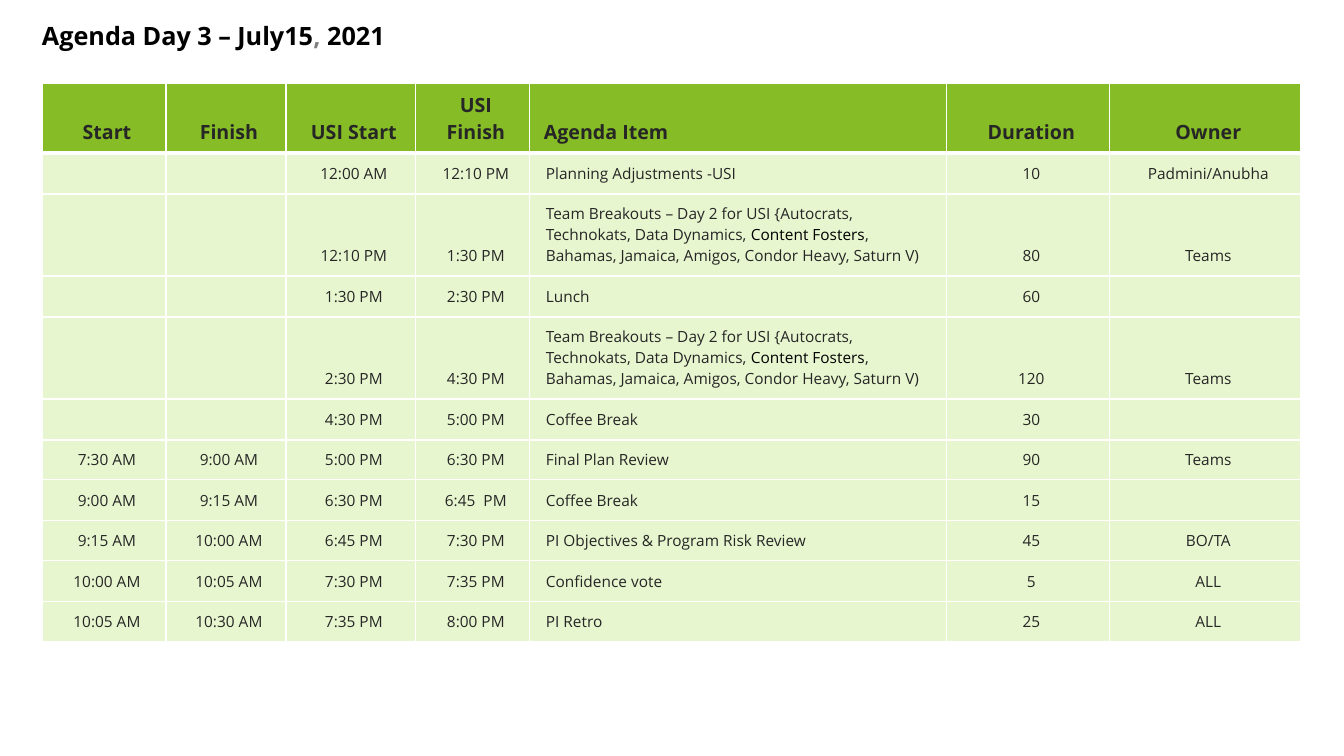
import pptx
import pptx.dml.color
import pptx.enum.text
import pptx.oxml
import pptx.oxml.ns
import pptx.util

RGBColor = pptx.dml.color.RGBColor
PP_ALIGN = pptx.enum.text.PP_ALIGN
MSO_ANCHOR = pptx.enum.text.MSO_ANCHOR

WHITE = RGBColor(0xFF, 0xFF, 0xFF)
BLACK = RGBColor(0x00, 0x00, 0x00)
GRAY = RGBColor(0x80, 0x80, 0x80)
INK = RGBColor(0x26, 0x26, 0x26)
GREEN = RGBColor(0x86, 0xBC, 0x25)
PALE_GREEN = RGBColor(0xE8, 0xF6, 0xCF)
FONT = "Open Sans"

# Content: a text is a list of (wording, colour) runs or a plain string
HEADING = [("Agenda Day 3 – July15", BLACK), (", ", GRAY), ("2021", BLACK)]
BREAKOUTS = [
    ("Team Breakouts – Day 2 for USI {Autocrats, Technokats, Data Dynamics, ", INK),
    ("Content Fosters", BLACK),
    (", Bahamas, Jamaica, Amigos, Condor Heavy, Saturn V)", INK),
]
AGENDA = [
    ("Start", "Finish", "USI Start", "USI Finish", "Agenda Item", "Duration", "Owner"),
    ("", "", "12:00 AM", "12:10 PM", "Planning Adjustments -USI", "10", "Padmini/Anubha"),
    ("", "", "12:10 PM", "1:30 PM", BREAKOUTS, "80", "Teams"),
    ("", "", "1:30 PM", "2:30 PM", "Lunch", "60", ""),
    ("", "", "2:30 PM", "4:30 PM", BREAKOUTS, "120", "Teams"),
    ("", "", "4:30 PM", "5:00 PM", "Coffee Break", "30", ""),
    ("7:30 AM", "9:00 AM", "5:00 PM", "6:30 PM", "Final Plan Review", "90", "Teams"),
    ("9:00 AM", "9:15 AM", "6:30 PM", "6:45  PM", "Coffee Break", "15", ""),
    ("9:15 AM", "10:00 AM", "6:45 PM", "7:30 PM", "PI Objectives & Program Risk Review", "45", "BO/TA"),
    ("10:00 AM", "10:05 AM", "7:30 PM", "7:35 PM", "Confidence vote", "5", "ALL"),
    ("10:05 AM", "10:30 AM", "7:35 PM", "8:00 PM", "PI Retro", "25", "ALL"),
]
ITEM_COLUMN = 4

# Lengths in px
COLUMN_WIDTHS = [124, 120, 130, 114, 417, 163, 191]
ROW_HEIGHTS = [70, 41, 82, 41, 82, 41, 40, 41, 40, 41, 40]
AGENDA_LEFT, AGENDA_TOP = 42, 83
HEADER_MARGINS = (14, 8, 8, 8)
BODY_MARGINS = (16, 9, 10, 10)
EMPTY_MARGINS = (0, 0, 0, 0)


def px(length):
    return pptx.util.Emu(round(length * 914400 / 100.8))


def write(paragraph, text, size, bold):
    runs = [(text, INK)] if isinstance(text, str) else text
    for wording, color in runs:
        run = paragraph.add_run()
        run.text = wording
        run.font.name = FONT
        run.font.size = pptx.util.Pt(size)
        run.font.bold = bold
        run.font.color.rgb = color


def set_borders(cell, top, bottom):
    properties = cell._tc.get_or_add_tcPr()
    for side, width in (("L", 1), ("R", 1), ("T", top), ("B", bottom)):
        properties.append(pptx.oxml.parse_xml(
            f'<a:ln{side} {pptx.oxml.ns.nsdecls("a")} w="{pptx.util.Pt(width)}">'
            f'<a:solidFill><a:srgbClr val="{WHITE}"/></a:solidFill></a:ln{side}>'))


def set_margins(box, margins):
    box.margin_left, box.margin_top, box.margin_right, box.margin_bottom = map(px, margins)


def add_heading(slide):
    heading = slide.shapes.title
    heading.left, heading.top, heading.width, heading.height = map(px, (42, 19, 1241, 37))
    frame = heading.text_frame
    frame.auto_size = pptx.enum.text.MSO_AUTO_SIZE.NONE
    frame.word_wrap = True
    frame.vertical_anchor = MSO_ANCHOR.MIDDLE
    set_margins(frame, EMPTY_MARGINS)
    paragraph = frame.paragraphs[0]
    paragraph.alignment = PP_ALIGN.LEFT
    paragraph.line_spacing = 0.9
    write(paragraph, HEADING, 18, True)


def add_agenda(slide):
    agenda = slide.shapes.add_table(
        len(AGENDA), len(COLUMN_WIDTHS), px(AGENDA_LEFT), px(AGENDA_TOP),
        px(sum(COLUMN_WIDTHS)), px(sum(ROW_HEIGHTS))).table
    agenda.horz_banding = False
    for column, width in zip(agenda.columns, COLUMN_WIDTHS):
        column.width = px(width)
    for row, height in zip(agenda.rows, ROW_HEIGHTS):
        row.height = px(height)

    for r, entries in enumerate(AGENDA):
        is_header = r == 0
        for c, text in enumerate(entries):
            cell = agenda.cell(r, c)
            set_borders(cell, top=3 if r == 1 else 1, bottom=3 if is_header else 1)
            cell.fill.solid()
            cell.fill.fore_color.rgb = GREEN if is_header else PALE_GREEN
            if not text:
                set_margins(cell, EMPTY_MARGINS)
                continue
            set_margins(cell, HEADER_MARGINS if is_header else BODY_MARGINS)
            cell.vertical_anchor = MSO_ANCHOR.BOTTOM
            paragraph = cell.text_frame.paragraphs[0]
            paragraph.alignment = PP_ALIGN.LEFT if c == ITEM_COLUMN else PP_ALIGN.CENTER
            write(paragraph, text, 14 if is_header else 11, is_header)


def main():
    deck = pptx.Presentation()
    deck.slide_width, deck.slide_height = px(1344), px(756)
    slide = deck.slides.add_slide(deck.slide_layouts[5])
    add_heading(slide)
    add_agenda(slide)
    deck.save("out.pptx")


if __name__ == "__main__":
    main()
